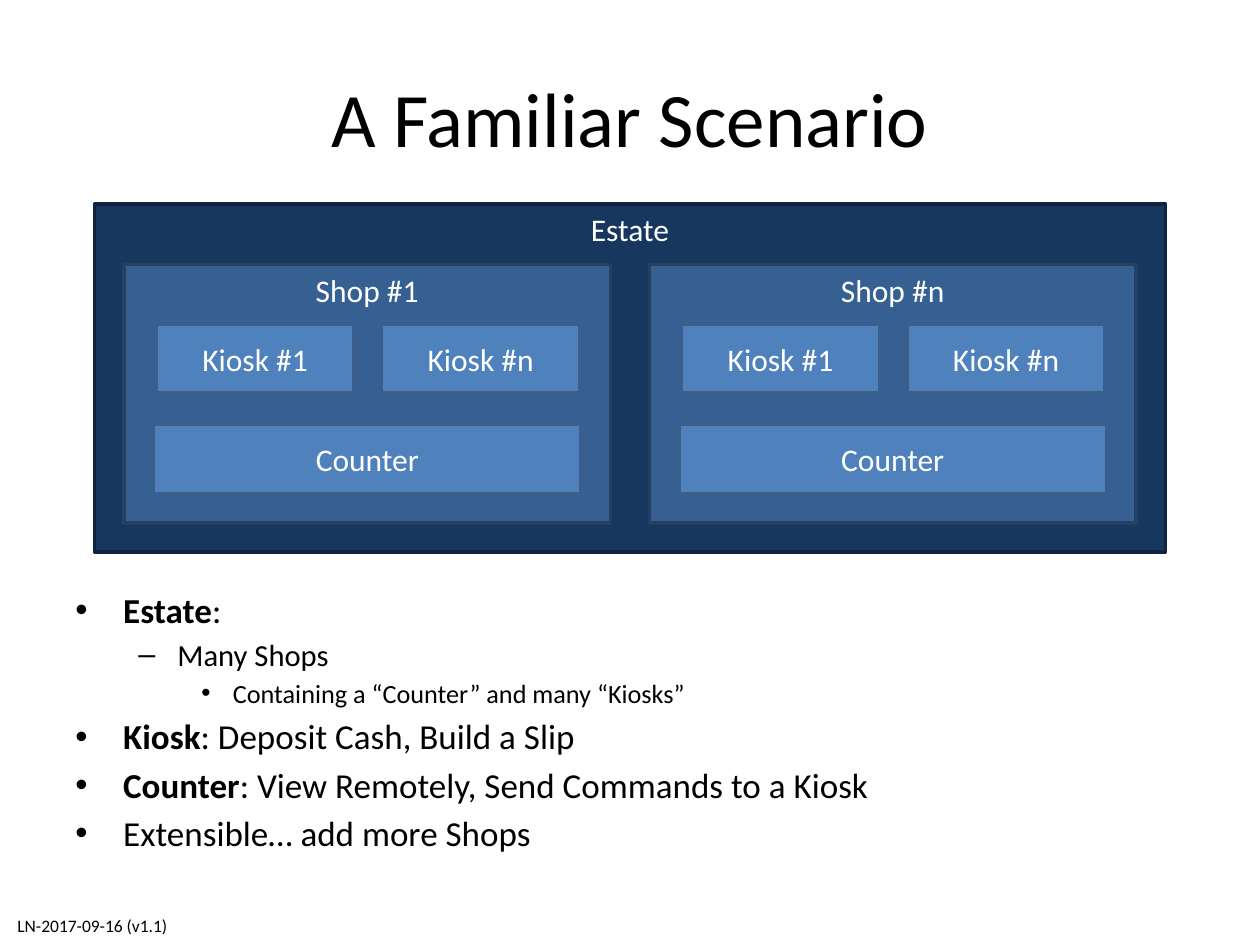
import pptx
import pptx.dml.color
import pptx.enum.shapes
import pptx.enum.text
import pptx.util
import lxml.etree
from pptx.oxml.ns import qn

COLUMNS, ROWS = 100, 75
ANCHOR = pptx.enum.text.MSO_ANCHOR
ALIGN = pptx.enum.text.PP_ALIGN


def color(hex_string):
    return pptx.dml.color.RGBColor.from_string(hex_string)


class ScenarioSlide:
    """Places elements on a grid of COLUMNS by ROWS with one shared style."""

    font_name = "Calibri"
    # For each level: text size, text indent, hanging indent, bullet
    levels = [(20, 0.38, 0.38, "•"), (17.5, 0.81, 0.31, "–"), (15, 1.25, 0.25, "•")]

    def __init__(self, presentation):
        self.column = presentation.slide_width / COLUMNS
        self.row = presentation.slide_height / ROWS
        self.slide = presentation.slides.add_slide(presentation.slide_layouts[6])

    def place(self, left, top, width, height):
        return (round(left * self.column), round(top * self.row),
                round(width * self.column), round(height * self.row))

    def format_run(self, run, size, text_color, bold=False):
        run.font.name = self.font_name
        run.font.size = pptx.util.Pt(size)
        run.font.bold = bold
        run.font.color.rgb = color(text_color)

    def fill_text(self, shape, text, size, text_color, anchor, align):
        frame = shape.text_frame
        frame.word_wrap = True
        frame.vertical_anchor = anchor
        frame.text = text
        paragraph = frame.paragraphs[0]
        paragraph.alignment = align
        self.format_run(paragraph.runs[0], size, text_color)

    def text(self, text, area, size, anchor=ANCHOR.TOP, align=ALIGN.LEFT):
        shape = self.slide.shapes.add_textbox(*self.place(*area))
        self.fill_text(shape, text, size, "000000", anchor, align)

    def box(self, text, area, fill, line, anchor=ANCHOR.MIDDLE):
        shape = self.slide.shapes.add_shape(
            pptx.enum.shapes.MSO_SHAPE.RECTANGLE, *self.place(*area))
        shape.shadow.inherit = False
        shape.fill.solid()
        shape.fill.fore_color.rgb = color(fill)
        shape.line.color.rgb = color(line)
        shape.line.width = pptx.util.Pt(2)
        self.fill_text(shape, text, 18, "FFFFFF", anchor, ALIGN.CENTER)

    def shop(self, name, left):
        self.box(name, (left, 21, 38.6, 20.5), "376092", "254061", ANCHOR.TOP)
        parts = [("Counter", 2.35, 33.7, 33.9),
                 ("Kiosk #1", 2.55, 25.7, 15.7),
                 ("Kiosk #n", 20.45, 25.7, 15.7)]
        for label, offset, top, width in parts:
            self.box(label, (left + offset, top, width, 5.5), "4F81BD", "3A5F8C")

    def bullets(self, items, area):
        """Each item is a level, a bold lead and the plain rest."""
        frame = self.slide.shapes.add_textbox(*self.place(*area)).text_frame
        frame.word_wrap = True
        for index, (level, lead, rest) in enumerate(items):
            paragraph = frame.paragraphs[0] if index == 0 else frame.add_paragraph()
            size, indent, hanging, bullet = self.levels[level]
            paragraph.level = level
            paragraph.space_before = pptx.util.Pt(round(size * 0.18, 1))
            for text, bold in ((lead, True), (rest, False)):
                if text:
                    run = paragraph.add_run()
                    run.text = text
                    self.format_run(run, size, "000000", bold)
            properties = paragraph._p.get_or_add_pPr()
            properties.set("marL", str(pptx.util.Inches(indent)))
            properties.set("indent", str(-pptx.util.Inches(hanging)))
            lxml.etree.SubElement(properties, qn("a:buFont"), typeface="Arial")
            lxml.etree.SubElement(properties, qn("a:buChar"), char=bullet)


def main():
    presentation = pptx.Presentation()
    presentation.slide_width = pptx.util.Inches(10)
    presentation.slide_height = pptx.util.Inches(7.5)

    scenario = ScenarioSlide(presentation)
    scenario.text("LN-2017-09-16 (v1.1)", (0.4, 72.1, 15, 2.7), 10)
    scenario.text("A Familiar Scenario", (5, 3, 90, 12.5), 44,
                  ANCHOR.MIDDLE, ALIGN.CENTER)
    scenario.box("Estate", (7.5, 16.2, 85, 27.6), "17375E", "0F243E", ANCHOR.TOP)
    for name, left in (("Shop #1", 9.85), ("Shop #n", 51.55)):
        scenario.shop(name, left)
    scenario.bullets([
        (0, "Estate", ":"),
        (1, "", "Many Shops"),
        (2, "", "Containing a “Counter” and many “Kiosks”"),
        (0, "Kiosk", ": Deposit Cash, Build a Slip"),
        (0, "Counter", ": View Remotely, Send Commands to a Kiosk"),
        (0, "", "Extensible… add more Shops"),
    ], (5, 46.2, 90, 20.8))

    presentation.save("out.pptx")


if __name__ == "__main__":
    main()
